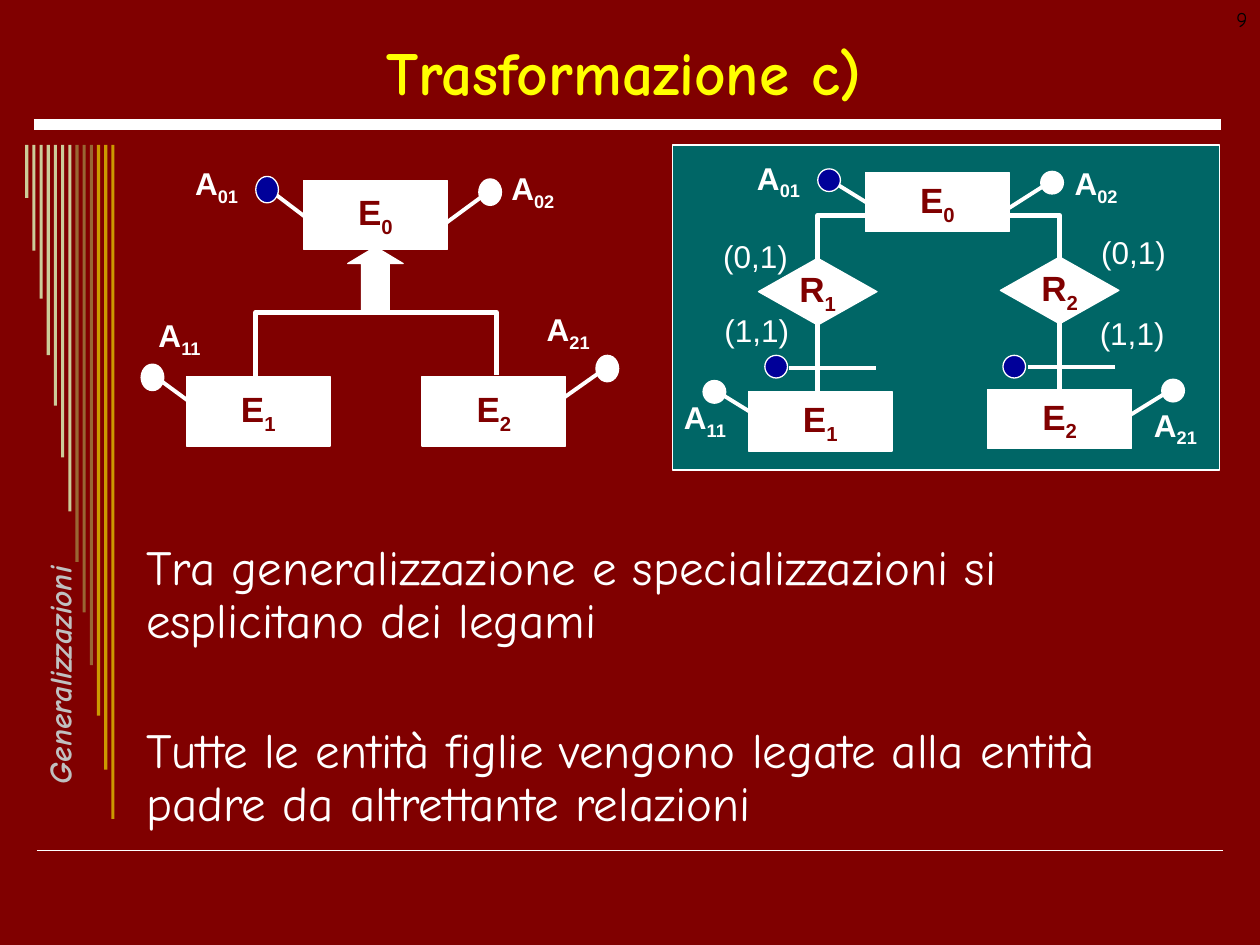
from lxml import etree
from pptx import Presentation
from pptx import util as u
from pptx.dml import color
from pptx.enum import shapes, text
from pptx.oxml import ns


def paint(fill, shade):
    fill.solid()
    fill.fore_color.rgb = color.RGBColor.from_string(shade)


def write(frame, content, size=18, shade="FFFFFF", font="Arial", bold=False, italic=False,
          align="LEFT", anchor="TOP", wrap=True, gap=0, spacing=1.0):
    frame.auto_size = text.MSO_AUTO_SIZE.NONE
    frame.word_wrap = wrap
    frame.vertical_anchor = text.MSO_ANCHOR[anchor]
    for number, line in enumerate(content.split("\n")):
        para = frame.add_paragraph() if number else frame.paragraphs[0]
        para.alignment = text.PP_ALIGN[align]
        para.space_before = u.Pt(gap if number else 0)
        para.line_spacing = spacing
        for part, words in enumerate(line.split("_")):
            span = para.add_run()
            span.text = words
            span.font.size = u.Pt(size)
            span.font.name = font
            span.font.bold = bold
            span.font.italic = italic
            paint(span.font.fill, shade)
            if part:
                span.font._element.set("baseline", "-25000")


WHITE, MAROON, TEAL, BLUE = "FFFFFF", "800000", "006666", "000099"
SCRIPT = "Comic Neue"
KIND = shapes.MSO_SHAPE

deck = Presentation()
deck.slide_width, deck.slide_height = u.Inches(10), u.Inches(7.5)
column, row = deck.slide_width // 1000, deck.slide_height // 750
page = deck.slides.add_slide(deck.slide_layouts[1])
paint(page.background.fill, MAROON)

title, body = page.placeholders
title.left, title.top, title.width, title.height = 35 * column, 21 * row, 921 * column, 71 * row
write(title.text_frame, "Trasformazione c)", size=35, shade="FFFF00", font=SCRIPT,
      bold=True, align="CENTER", anchor="MIDDLE")

body.left, body.top, body.width, body.height = 106 * column, 426 * row, 852 * column, 240 * row
write(body.text_frame,
      "Tra generalizzazione e specializzazioni si esplicitano dei legami\n"
      "Tutte le entità figlie vengono legate alla entità padre da altrettante relazioni",
      size=28, font=SCRIPT, gap=44, spacing=0.9)
for para in body.text_frame.paragraphs:
    settings = para._p.get_or_add_pPr()
    settings.set("marL", "0")
    settings.set("indent", "0")
    etree.SubElement(settings, ns.qn("a:buNone"))

bar_heights = [42, 84, 122, 167, 207, 248, 291, 331, 371, 413, 453, 496, 535]
bar_shades = ["CCCC99"] * 7 + ["996633"] * 3 + ["CC9900"] * 3
for place, (height, shade) in enumerate(zip(bar_heights, bar_shades)):
    bar = page.shapes.add_shape(KIND.RECTANGLE, (200 + 57 * place) * column // 10, 115 * row,
                                25 * column // 10, height * row)
    paint(bar.fill, shade)
    bar.line.fill.background()

panel = page.shapes.add_shape(KIND.RECTANGLE, 534 * column, 115 * row, 434 * column, 258 * row)
paint(panel.fill, TEAL)
paint(panel.line.fill, WHITE)
panel.line.width = u.Pt(0.75)

branches = [
    [(649, 321), (649, 171), (841, 171), (841, 311)],
    [(203, 302), (203, 248), (394, 248), (394, 298)],
]
for points in branches:
    start, *corners = [(x * column, y * row) for x, y in points]
    builder = page.shapes.build_freeform(*start)
    builder.add_line_segments(corners, close=False)
    branch = builder.convert_to_shape()
    branch.fill.background()
    paint(branch.line.fill, WHITE)
    branch.line.width = u.Pt(3)

links = [
    (29, 675, 971, 675, 1), (27, 99, 969, 99, 6),
    (602, 331, 568, 310, 2.25), (896, 330, 930, 309, 2.25),
    (693, 164, 659, 143, 2.25), (801, 165, 834, 144, 2.25),
    (695, 292, 626, 292, 2.25), (885, 291, 816, 291, 2.25),
    (156, 323, 122, 298, 2.25), (447, 316, 481, 292, 2.25),
    (246, 175, 213, 150, 2.25), (354, 177, 388, 152, 2.25),
]
for x1, y1, x2, y2, weight in links:
    link = page.shapes.add_connector(shapes.MSO_CONNECTOR.STRAIGHT, x1 * column, y1 * row,
                                     x2 * column, y2 * row)
    paint(link.line.fill, WHITE)
    link.line.width = u.Pt(weight)

entity_size, tall_entity_size, relation_size = (114, 47), (114, 55), (94, 53)
dot_size, tall_dot_size = (18, 18), (18, 21)
nodes = [
    (KIND.RECTANGLE, 687, 137, entity_size, WHITE, "E_0"),
    (KIND.RECTANGLE, 594, 311, entity_size, WHITE, "E_1"),
    (KIND.RECTANGLE, 784, 309, entity_size, WHITE, "E_2"),
    (KIND.DIAMOND, 602, 205, relation_size, WHITE, "R_1"),
    (KIND.DIAMOND, 794, 204, relation_size, WHITE, "R_2"),
    (KIND.OVAL, 558, 302, dot_size, WHITE, ""),
    (KIND.OVAL, 922, 301, dot_size, WHITE, ""),
    (KIND.OVAL, 649, 134, dot_size, BLUE, ""),
    (KIND.OVAL, 826, 136, dot_size, WHITE, ""),
    (KIND.OVAL, 607, 282, dot_size, BLUE, ""),
    (KIND.OVAL, 796, 282, dot_size, BLUE, ""),
    (KIND.RECTANGLE, 241, 143, tall_entity_size, WHITE, "E_0"),
    (KIND.RECTANGLE, 148, 299, tall_entity_size, WHITE, "E_1"),
    (KIND.RECTANGLE, 335, 299, tall_entity_size, WHITE, "E_2"),
    (KIND.UP_ARROW, 276, 196, (44, 52), WHITE, ""),
    (KIND.OVAL, 112, 289, tall_dot_size, WHITE, ""),
    (KIND.OVAL, 473, 282, tall_dot_size, WHITE, ""),
    (KIND.OVAL, 203, 140, tall_dot_size, BLUE, ""),
    (KIND.OVAL, 380, 142, tall_dot_size, WHITE, ""),
]
for kind, x, y, (width, height), shade, name in nodes:
    node = page.shapes.add_shape(kind, x * column, y * row, width * column, height * row)
    paint(node.fill, shade)
    paint(node.line.fill, WHITE)
    node.line.width = u.Pt(0.75)
    if kind == KIND.UP_ARROW:
        node.adjustments[1] = 0.3
    if name:
        write(node.text_frame, name, size=20, shade=MAROON, bold=True,
              align="CENTER", anchor="MIDDLE", wrap=False)

attribute = {"size": 18, "bold": True}
cardinality = {"size": 18}
labels = [
    ("A_11", 533, 311, 74, 44, attribute), ("A_01", 591, 121, 74, 44, attribute),
    ("A_02", 843, 125, 74, 44, attribute), ("A_21", 906, 317, 74, 44, attribute),
    ("A_11", 116, 246, 74, 44, attribute), ("A_01", 145, 125, 74, 44, attribute),
    ("A_02", 396, 129, 74, 44, attribute), ("A_21", 424, 241, 74, 44, attribute),
    ("(0,1)", 564, 183, 78, 40, cardinality), ("(0,1)", 864, 180, 78, 40, cardinality),
    ("(1,1)", 565, 242, 78, 40, cardinality), ("(1,1)", 863, 244, 78, 40, cardinality),
    ("9", 767, 0, 233, 50, {"size": 12, "shade": "000000", "font": SCRIPT, "align": "RIGHT"}),
]
for words, x, y, width, height, style in labels:
    box = page.shapes.add_textbox(x * column, y * row, width * column, height * row)
    write(box.text_frame, words, **style)

chapter = page.shapes.add_textbox(-75 * column, 524 * row, 228 * column, 24 * row)
chapter.rotation = 270
write(chapter.text_frame, "Generalizzazioni", size=18, shade="C0C0C0", font=SCRIPT,
      bold=True, italic=True, align="CENTER", wrap=False)

for item in page.shapes:
    if not item.is_placeholder:
        etree.SubElement(item._element.spPr, ns.qn("a:effectLst"))

deck.save("out.pptx")
